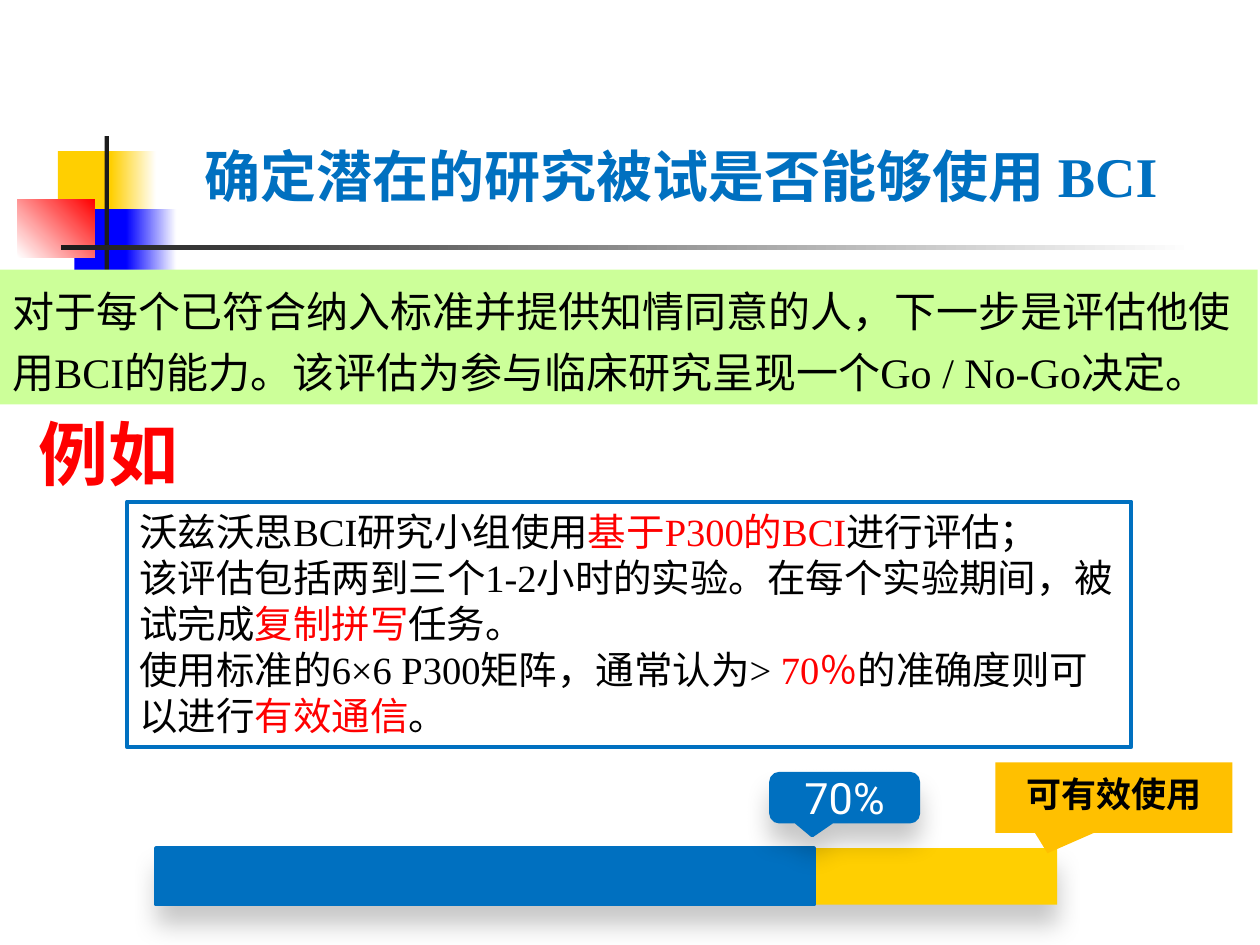
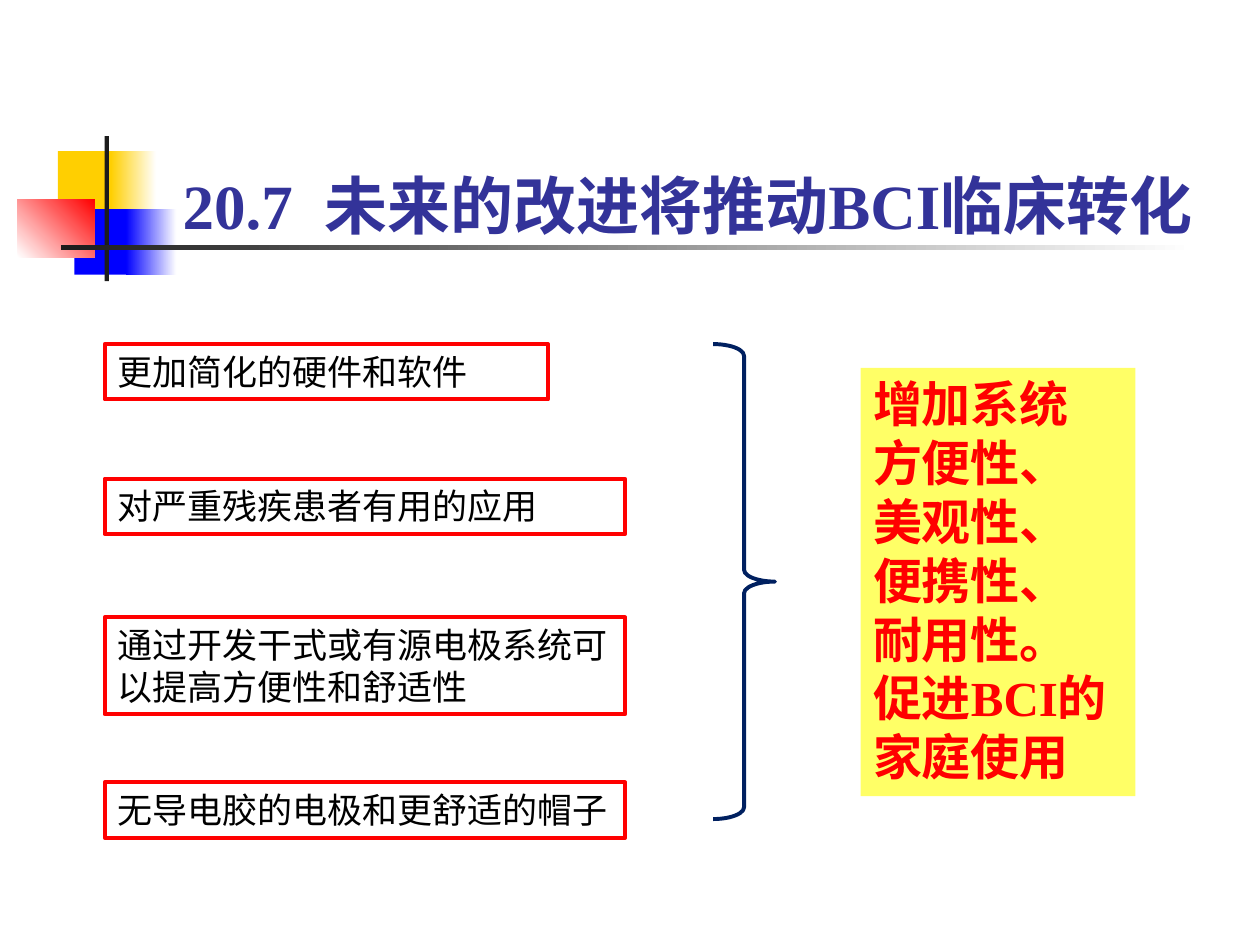
from dataclasses import dataclass
from typing import Optional

from pptx import Presentation
from pptx.dml.color import RGBColor
from pptx.enum import shapes, text
from pptx.oxml import parse_xml
from pptx.oxml.ns import nsdecls, qn
from pptx.util import Pt

COLORS = {
    "yellow": "FFCF01", "amber": "FFC000", "lemon": "FFFF66", "lime": "CCFF99",
    "pure_blue": "0000FF", "blue": "0070C0", "indigo": "333399", "navy": "002060",
    "red": "FF0000", "ink": "1C1C1C", "black": "000000", "white": "FFFFFF",
}
SERIF, SANS, CHINESE = "Times New Roman", "Roboto", "Noto Sans CJK SC"
LINE_HEIGHT = 1.2
PRESET = shapes.MSO_SHAPE
ANCHOR = text.MSO_ANCHOR
ALIGN = text.PP_ALIGN


@dataclass(frozen=True)
class Box:
    left: float
    top: float
    width: float
    height: float

    def lengths(self) -> tuple:
        return Pt(self.left), Pt(self.top), Pt(self.width), Pt(self.height)


@dataclass(frozen=True)
class TextStyle:
    size: float
    font: str = SERIF
    color: str = "black"
    bold: bool = False
    align: ALIGN = ALIGN.LEFT
    anchor: ANCHOR = ANCHOR.TOP
    spacing: float = 1.0
    wrap: bool = True


@dataclass(frozen=True)
class Panel:
    box: Box
    fill: Optional[str] = None
    fade_to: Optional[str] = None
    angle: float = 0
    line: Optional[str] = None
    line_width: float = 2.25
    preset: PRESET = PRESET.RECTANGLE
    adjustments: tuple = ()
    shadow: bool = False
    rotation: float = 0


# Crossed squares and rules behind every title
DECORATION = [
    Panel(Box(33.1, 86.4, 34.6, 37.4), "yellow"),
    Panel(Box(63.4, 86.4, 25.9, 37.4), "yellow", fade_to="white"),
    Panel(Box(42.5, 119.5, 33.1, 37.4), "pure_blue"),
    Panel(Box(72, 119.5, 28.8, 37.4), "pure_blue", fade_to="white"),
    Panel(Box(10.1, 113.8, 43.9, 33.1), "white", fade_to="red", angle=45),
    Panel(Box(59.8, 77.8, 2.5, 82.8), "ink"),
    Panel(Box(34.6, 140.2, 648, 2.5), "ink", fade_to="white"),
]


def rgb(name: str) -> RGBColor:
    return RGBColor.from_string(COLORS[name])


def format_run(run, style: TextStyle, color: str) -> None:
    run.font.size = Pt(style.size)
    run.font.bold = style.bold
    run.font.name = style.font
    run.font.color.rgb = rgb(color)
    properties = run.font._element
    properties.find(qn("a:latin")).addnext(
        parse_xml(f'<a:ea {nsdecls("a")} typeface="{CHINESE}"/>'))


def write(shape, lines: list, style: TextStyle, accent: str = "red") -> None:
    """Write one paragraph per line; parts between asterisks take the accent colour."""
    frame = shape.text_frame
    frame.auto_size = text.MSO_AUTO_SIZE.NONE
    frame.word_wrap = style.wrap
    frame.vertical_anchor = style.anchor
    frame.text = "\n".join(line.split("*")[0] for line in lines)
    for paragraph, line in zip(frame.paragraphs, lines):
        paragraph.alignment = style.align
        paragraph.line_spacing = Pt(style.size * LINE_HEIGHT * style.spacing)
        paragraph.space_before = Pt(0)
        for part in line.split("*")[1:]:
            paragraph.add_run().text = part
        for index, run in enumerate(paragraph.runs):
            format_run(run, style, accent if index % 2 else style.color)


def add_shadow(shape) -> None:
    effects = shape.element.spPr.find(qn("a:effectLst"))
    effects.append(parse_xml(
        f'<a:outerShdw {nsdecls("a")} blurRad="{Pt(14)}" dist="{Pt(11)}" '
        'dir="5400000" algn="t" rotWithShape="0">'
        f'<a:srgbClr val="{COLORS["black"]}"><a:alpha val="22000"/></a:srgbClr>'
        '</a:outerShdw>'))


def add_panel(slide, panel: Panel):
    shape = slide.shapes.add_shape(panel.preset, *panel.box.lengths())
    shape.shadow.inherit = False
    shape.rotation = panel.rotation
    for index, value in enumerate(panel.adjustments):
        shape.adjustments[index] = value
    if panel.fade_to:
        shape.fill.gradient()
        shape.fill.gradient_angle = panel.angle
        for stop, name in zip(shape.fill.gradient_stops, (panel.fill, panel.fade_to)):
            stop.color.rgb = rgb(name)
            stop.position = 0 if name == panel.fill else 1
    elif panel.fill:
        shape.fill.solid()
        shape.fill.fore_color.rgb = rgb(panel.fill)
    else:
        shape.fill.background()
    if panel.line:
        shape.line.color.rgb = rgb(panel.line)
        shape.line.width = Pt(panel.line_width)
    else:
        shape.line.fill.background()
    if panel.shadow:
        add_shadow(shape)
    return shape


def decorate_layout(layout, slide) -> None:
    """Draw the decoration on a slide, then move it to the back of the layout."""
    tree = layout.shapes.element
    for index, panel in enumerate(DECORATION):
        element = add_panel(slide, panel).element
        element.xpath(".//p:cNvPr")[0].set("id", str(100 + index))
        tree.insert(2 + index, element)


def set_title(slide, words: str, box: Box, style: TextStyle) -> None:
    title = slide.shapes.title
    title.left, title.top, title.width, title.height = box.lengths()
    write(title, [words], style)


def build_assessment(slide) -> None:
    set_title(slide, "确定潜在的研究被试是否能够使用 BCI", Box(109.4, 77, 571, 46.1),
              TextStyle(32, color="blue", bold=True))

    # Statement band
    band = add_panel(slide, Panel(Box(0, 154.1, 718.6, 77), "lime"))
    write(band, ["对于每个已符合纳入标准并提供知情同意的人，下一步是评估他使用BCI的能力。"
                 "该评估为参与临床研究呈现一个Go / No-Go决定。"],
          TextStyle(24, spacing=1.2))

    # Example
    example = add_panel(slide, Panel(Box(72.7, 286.6, 573.8, 140.4), line="blue"))
    write(example, [
        "沃兹沃思BCI研究小组使用*基于P300的BCI*进行评估；",
        "该评估包括两到三个1-2小时的实验。在每个实验期间，被试完成*复制拼写*任务。",
        "使用标准的6×6 P300矩阵，通常认为> *70％*的准确度则可以进行*有效通信*。",
    ], TextStyle(22))
    heading = slide.shapes.add_textbox(*Box(14.4, 231.1, 95, 55.4).lengths())
    write(heading, ["例如"], TextStyle(40, SANS, "red", True, ALIGN.CENTER, wrap=False))

    # Accuracy bar with its threshold
    add_panel(slide, Panel(Box(89.3, 484.6, 514.8, 32.4), "yellow", shadow=True))
    add_panel(slide, Panel(Box(89.3, 484.6, 375.8, 32.4), "blue", line="blue", line_width=2))
    threshold = add_panel(slide, Panel(
        Box(440.6, 442.1, 84.2, 27.4), "blue", line="blue", line_width=2,
        preset=PRESET.ROUNDED_RECTANGULAR_CALLOUT,
        adjustments=(-0.22, 0.79, 0.17), shadow=True))
    write(threshold, ["70%"],
          TextStyle(24.7, SANS, "white", align=ALIGN.CENTER, anchor=ANCHOR.MIDDLE))

    # Usable range callout
    add_panel(slide, Panel(Box(568.8, 435.6, 135.4, 40.3), "amber",
                           preset=PRESET.RECTANGULAR_CALLOUT, adjustments=(-0.28, 0.79)))
    usable = add_panel(slide, Panel(Box(575.3, 437.8, 123.1, 31.7), "amber"))
    write(usable, ["可有效使用"], TextStyle(20, CHINESE, bold=True, align=ALIGN.CENTER))


def build_improvements(slide) -> None:
    set_title(slide, "20.7  未来的改进将推动BCI临床转化", Box(97.2, 36, 594, 105.8),
              TextStyle(36, color="indigo", bold=True, anchor=ANCHOR.BOTTOM, spacing=1.25))

    # Improvements
    improvements = [
        ("更加简化的硬件和软件", 196.6, 253.4, 31.7),
        ("对严重残疾患者有用的应用", 273.6, 297.4, 31.7),
        ("通过开发干式或有源电极系统可以提高方便性和舒适性", 352.8, 297.4, 55.4),
        ("无导电胶的电极和更舒适的帽子", 447.1, 297.4, 31.7),
    ]
    for words, top, width, height in improvements:
        shape = add_panel(slide, Panel(Box(59.8, top, width, height), line="red"))
        write(shape, [words], TextStyle(20, CHINESE))

    # Joint outcome
    add_panel(slide, Panel(Box(407.5, 196.6, 35.3, 271.4), line="navy",
                           preset=PRESET.LEFT_BRACE, adjustments=(0.19, 0.5), rotation=180))
    outcome = add_panel(slide, Panel(Box(491.8, 210.2, 157, 244.8), "lemon"))
    write(outcome, ["增加系统", "方便性、 美观性、 便携性、", "耐用性。", "促进BCI的家庭使用"],
          TextStyle(28, color="red", bold=True))


def main() -> None:
    presentation = Presentation()
    presentation.slide_width, presentation.slide_height = Pt(720), Pt(540)
    layout = presentation.slide_layouts.get_by_name("Title Only")
    assessment, improvements = (presentation.slides.add_slide(layout) for _ in range(2))
    decorate_layout(layout, assessment)
    build_assessment(assessment)
    build_improvements(improvements)
    presentation.save("out.pptx")


if __name__ == "__main__":
    main()
